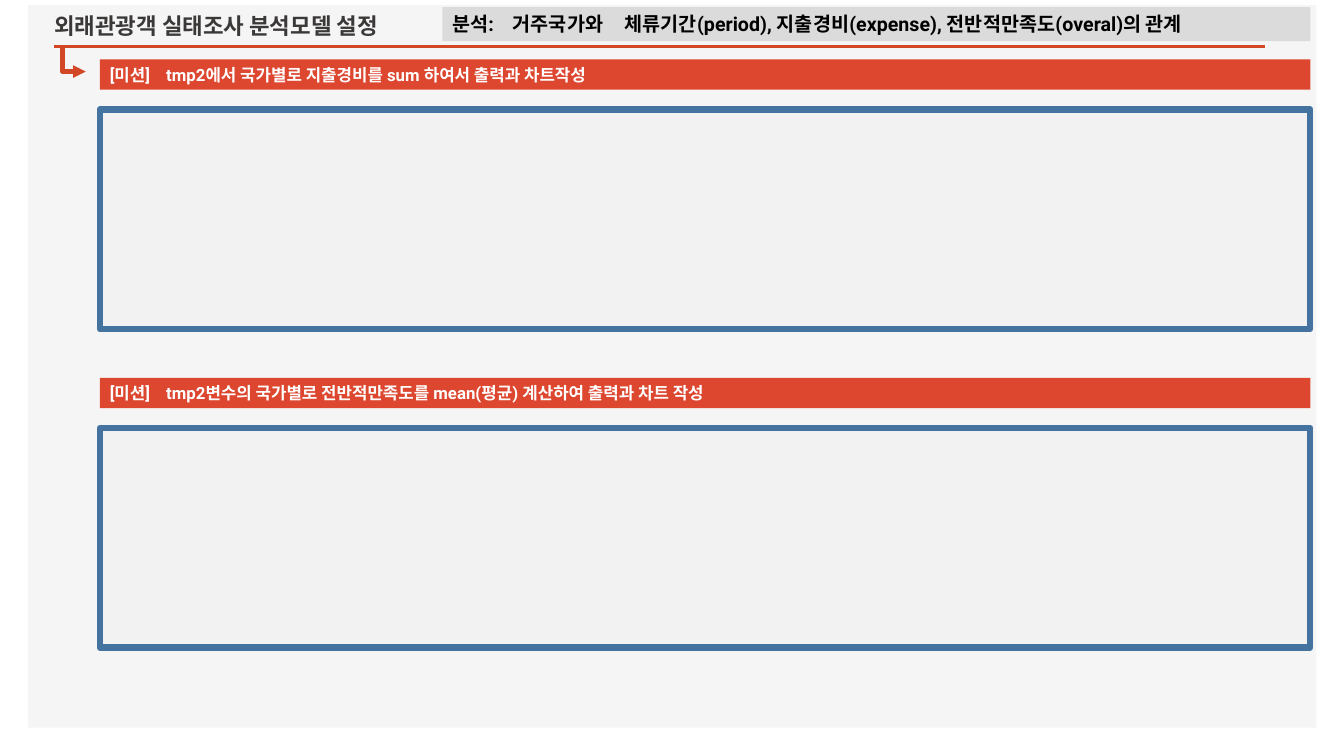
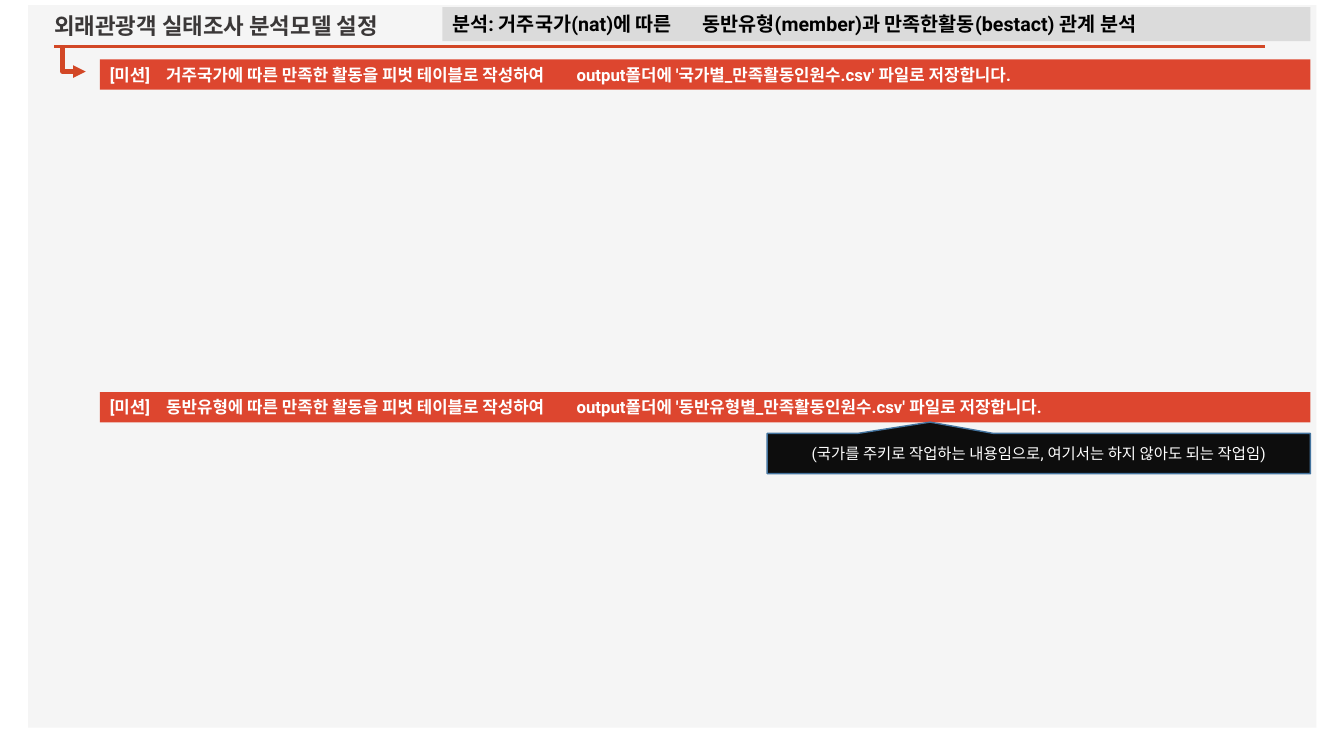
import lxml.etree
import pptx
import pptx.dml.color
import pptx.enum.shapes
import pptx.enum.text
import pptx.oxml
import pptx.oxml.ns
import pptx.util

COLORS = {
    "page": "F5F5F5", "rule": "D24726", "title": "3B3838", "topic": "DBDBDB",
    "mission": "DD462F", "panel": "F2F2F2", "border": "43739E",
    "note": "0D0D0D", "black": "000000", "white": "FFFFFF",
}
RGB = {name: pptx.dml.color.RGBColor.from_string(c) for name, c in COLORS.items()}
HANGUL, LATIN = "Noto Sans CJK KR", "Roboto"
SHAPE = pptx.enum.shapes.MSO_SHAPE
ANCHOR = pptx.enum.text.MSO_ANCHOR
ALIGN = pptx.enum.text.PP_ALIGN
qn = pptx.oxml.ns.qn

prs = pptx.Presentation()
prs.slide_width = pptx.util.Inches(13.33)
prs.slide_height = pptx.util.Inches(7.5)
COL = prs.slide_width / 100
ROW = prs.slide_height / 100
LEFT, RIGHT = 7.43, 97.5
BAR_TOP, BAR_H = 7.87, 4
PANEL_GAP, PANEL_H = 6.6, 29.07
RULE_Y = 6.13


def add_box(s, x, y, w, h, fill, line=None, width=1, kind=SHAPE.RECTANGLE):
    sp = s.shapes.add_shape(kind, int(x * COL), int(y * ROW), int(w * COL), int(h * ROW))
    sp.shadow.inherit = False
    sp.fill.solid()
    sp.fill.fore_color.rgb = RGB[fill]
    if line:
        sp.line.color.rgb = RGB[line]
        sp.line.width = pptx.util.Pt(width)
    else:
        sp.line.fill.background()
    return sp


def write(sp, text, size, color, font=LATIN, bold=True, align=ALIGN.LEFT,
          anchor=ANCHOR.MIDDLE, tabs=()):
    tf = sp.text_frame
    tf.word_wrap = True
    tf.vertical_anchor = anchor
    p = tf.paragraphs[0]
    p.text = text
    p.alignment = align
    p.font.size = pptx.util.Pt(size)
    p.font.bold = bold
    p.font.name = font
    p.font.color.rgb = RGB[color]
    pPr = p._p.get_or_add_pPr()
    defRPr = pPr.find(qn("a:defRPr"))
    lxml.etree.SubElement(defRPr, qn("a:ea"), typeface=HANGUL)
    if tabs:
        tabLst = lxml.etree.Element(qn("a:tabLst"))
        for pos in tabs:
            lxml.etree.SubElement(tabLst, qn("a:tab"), pos=str(pptx.util.Inches(pos)), algn="l")
        defRPr.addprevious(tabLst)


slides = [
    {
        "topic": "분석:\t거주국가와\t체류기간(period), 지출경비(expense), 전반적만족도(overal)의 관계",
        "topic_tabs": (0.6, 1.71),
        "missions": [
            (BAR_TOP, "[미션]\ttmp2에서 국가별로 지출경비를 sum 하여서 출력과 차트작성"),
            (50, "[미션]\ttmp2변수의 국가별로 전반적만족도를 mean(평균) 계산하여 출력과 차트 작성"),
        ],
        "panels": True,
        "note": None,
    },
    {
        "topic": "분석: 거주국가(nat)에 따른\t동반유형(member)과 만족한활동(bestact) 관계 분석",
        "topic_tabs": (2.48,),
        "missions": [
            (BAR_TOP, "[미션]\t거주국가에 따른 만족한 활동을 피벗 테이블로 작성하여\t"
                      "output폴더에 '국가별_만족활동인원수.csv' 파일로 저장합니다."),
            (51.87, "[미션]\t동반유형에 따른 만족한 활동을 피벗 테이블로 작성하여\t"
                    "output폴더에 '동반유형별_만족활동인원수.csv' 파일로 저장합니다."),
        ],
        "panels": False,
        "note": "(국가를 주키로 작업하는 내용임으로, 여기서는 하지 않아도 되는 작업임)",
    },
]

for content in slides:
    s = prs.slides.add_slide(prs.slide_layouts[6])
    add_box(s, 2.1, 0.67, 95.85, 95.6, "page")

    rule = s.shapes.add_connector(
        pptx.enum.shapes.MSO_CONNECTOR.STRAIGHT,
        int(4.05 * COL), int(RULE_Y * ROW), int(94.13 * COL), int(RULE_Y * ROW))
    rule.line.color.rgb = RGB["rule"]
    rule.line.width = pptx.util.Pt(2)
    lxml.etree.SubElement(rule._element.spPr, qn("a:effectLst"))

    title = s.shapes.add_textbox(
        int(3.3 * COL), int(0.53 * ROW), int(29 * COL), int(5.33 * ROW))
    write(title, "외래관광객 실태조사 분석모델 설정", 16, "title", HANGUL, anchor=ANCHOR.BOTTOM)

    topic = add_box(s, 32.92, 0.93, RIGHT - 32.92, 4.53, "topic")
    write(topic, content["topic"], 14, "black", tabs=content["topic_tabs"])

    fb = s.shapes.build_freeform(int(4.65 * COL), int(6.27 * ROW))
    fb.add_line_segments(
        [(int(4.65 * COL), int(9.47 * ROW)), (int(6.38 * COL), int(9.47 * ROW))], close=False)
    arrow = fb.convert_to_shape()
    arrow.shadow.inherit = False
    arrow.fill.background()
    arrow.line.color.rgb = RGB["rule"]
    arrow.line.width = pptx.util.Pt(3)
    lxml.etree.SubElement(arrow.line._get_or_add_ln(), qn("a:tailEnd"), type="triangle")

    for top, text in content["missions"]:
        bar = add_box(s, LEFT, top, RIGHT - LEFT, BAR_H, "mission")
        write(bar, text, 12, "white", tabs=(0.56, 4.63))
        if content["panels"]:
            add_box(s, LEFT, top + PANEL_GAP, RIGHT - LEFT, PANEL_H, "panel", "border", 4.5)

    if content["note"]:
        note = add_box(s, 57.08, 57.33, RIGHT - 57.08, 5.33, "note", "border",
                       kind=SHAPE.RECTANGULAR_CALLOUT)
        note.adjustments[0] = -0.2
        note.adjustments[1] = -0.78
        write(note, content["note"], 11, "white", bold=False, align=ALIGN.CENTER)

prs.save("out.pptx")
